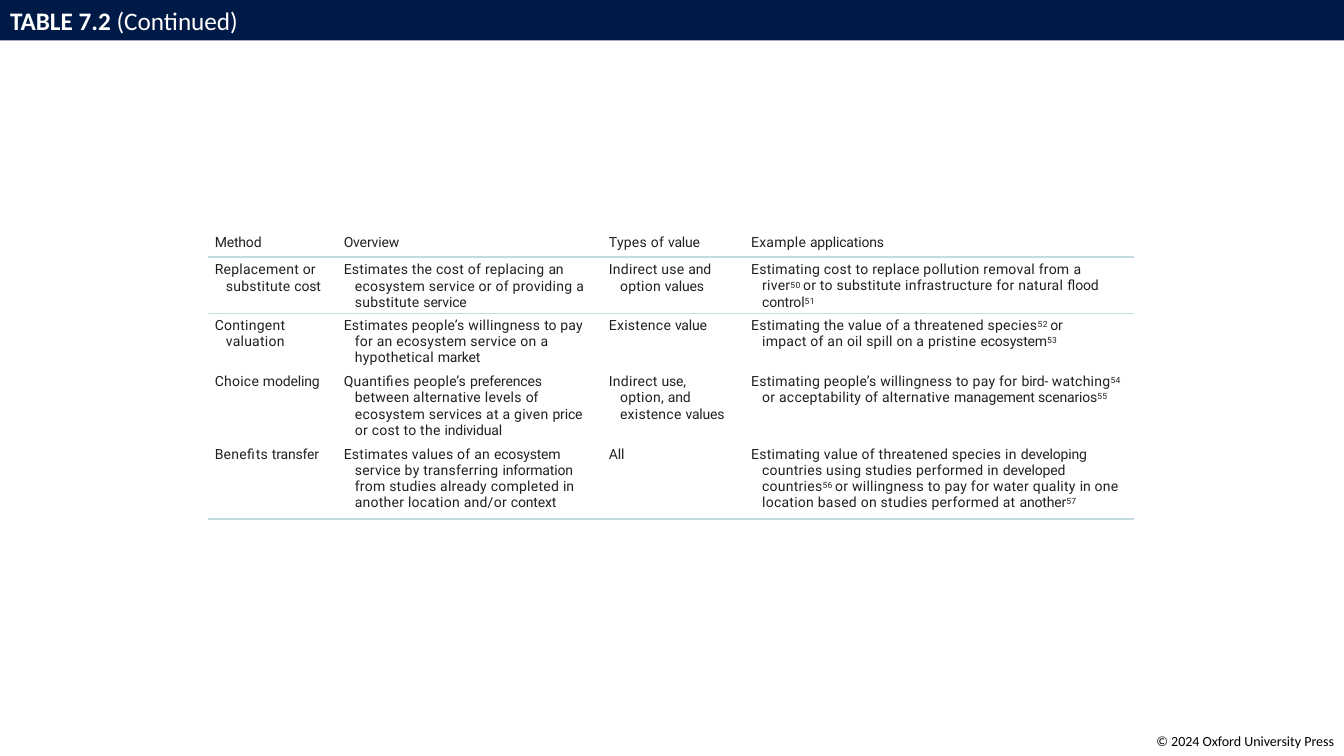
from pptx import Presentation
from pptx.dml.color import RGBColor
from pptx.enum.text import MSO_ANCHOR, MSO_AUTO_SIZE, PP_ALIGN
from pptx.oxml import parse_xml
from pptx.oxml.ns import nsdecls
from pptx.util import Inches, Pt

COL_WIDTHS = [1.27, 2.63, 1.38, 3.89]
COL_INDENTS = [0.06, 0.07, 0.07, 0.1]
ROW_HEIGHTS = [0.22, 0.56, 0.56, 0.72, 0.76]
ROW_INSETS = [0, 0.05, 0.04, 0.04, 0.04]
RULED_ROWS = [0, 1, 4]
RIGHT_INSETS = [
    [0, 0, 0, 0],
    [0, 0.06, 0, 0.13],
    [0, 0.17, 0, 0.3],
    [0, 0.07, 0.11, 0.11],
    [0, 0.08, 0, 0.1],
]
HANGING = 0.11

# "|" separates runs; "~" marks tighter spacing and "^" marks a reference number.
METHODS = [
    ["~Method", "~Overview", "Types of |~value", "Example |~applications"],
    [
        "Replacement |~or| substitute |~cost",
        "Estimates the cost of replacing |~an| ecosystem service or of providing |~a| substitute |~service",
        "Indirect use |~and| option |~values",
        "Estimating cost to replace pollution removal from |~a| river|^50 |or to substitute "
        "infrastructure for natural |~flood control|^51",
    ],
    [
        "Contingent valuation",
        "Estimates people’s willingness |~to| pay for an ecosystem service on |~a| hypothetical |~market",
        "Existence |~value",
        "Estimating the value of a threatened species|^52 |~or| impact of an oil spill on a pristine "
        "|~ecosystem|^53",
    ],
    [
        "Choice |~modeling",
        "Quantifies people’s |~preferences |between alternative levels |~of| ecosystem services "
        "at a given |~price |or cost to the |~individual",
        "Indirect |~use, |option, |~and| existence |~values",
        "Estimating people’s willingness to pay for |~bird- |watching|^54 |or acceptability of "
        "alternative |~management scenarios|^55",
    ],
    [
        "Benefits |~transfer",
        "Estimates values of an |~ecosystem |service by transferring |~information |from studies "
        "already completed |~in| another location and/or |~context",
        "~All",
        "Estimating value of threatened species in |~developing |countries using studies performed "
        "in |~developed |countries|^56 |or willingness to pay for water quality |~in| one location "
        "based on studies performed at |~another|^57",
    ],
]


def rgb(color):
    return RGBColor.from_string(color)


def set_font(p, name, size, color):
    p.font.name = name
    p.font.size = Pt(size)
    p.font.color.rgb = rgb(color)


def add_title(s, left, top, width, height):
    sp = s.shapes.title
    sp.left, sp.top, sp.width, sp.height = map(Inches, (left, top, width, height))
    sp.fill.solid()
    sp.fill.fore_color.rgb = rgb("001A47")
    tf = sp.text_frame
    tf.auto_size = MSO_AUTO_SIZE.NONE
    tf.vertical_anchor = MSO_ANCHOR.MIDDLE
    p = tf.paragraphs[0]
    p.alignment = PP_ALIGN.LEFT
    set_font(p, "Calibri", 18, "FFFFFF")
    for text, bold in (("TABLE 7.2 ", True), ("(Continued)", False)):
        r = p.add_run()
        r.text = text
        r.font.bold = bold


def add_runs(p, text):
    for part in text.split("|"):
        r = p.add_run()
        r.text = part.lstrip("~^")
        rPr = r.font._element
        rPr.set("spc", "-10" if part.startswith("~") else "20")
        if part.startswith("^"):
            r.font.size = Pt(10.5)
            rPr.set("baseline", "20000")


def add_rule(cell):
    cell._tc.get_or_add_tcPr().insert(0, parse_xml(
        f'<a:lnB {nsdecls("a")} w="19050"><a:solidFill><a:srgbClr val="C2DCDF"/>'
        '</a:solidFill><a:prstDash val="solid"/></a:lnB>'))


def fill_cell(cell, text, row, col):
    cell.margin_left = cell.margin_bottom = 0
    cell.margin_right = Inches(RIGHT_INSETS[row][col])
    cell.margin_top = Inches(ROW_INSETS[row])
    cell.vertical_anchor = MSO_ANCHOR.TOP
    cell.fill.background()
    p = cell.text_frame.paragraphs[0]
    pPr = p._p.get_or_add_pPr()
    pPr.set("marL", str(Inches(COL_INDENTS[col] + HANGING)))
    pPr.set("indent", str(-Inches(HANGING)))
    if row:
        p.line_spacing = Pt(11.6)
    set_font(p, "Roboto", 10, "231F20")
    add_runs(p, text)
    if row in RULED_ROWS:
        add_rule(cell)


def add_methods_table(s, left, top):
    width, height = sum(COL_WIDTHS), sum(ROW_HEIGHTS)
    table = s.shapes.add_table(
        len(ROW_HEIGHTS), len(COL_WIDTHS),
        Inches(left), Inches(top), Inches(width), Inches(height)).table
    table.first_row = False
    table.horz_banding = False
    for column, col_width in zip(table.columns, COL_WIDTHS):
        column.width = Inches(col_width)
    for row, row_height in enumerate(ROW_HEIGHTS):
        table.rows[row].height = Inches(row_height)
        for col, text in enumerate(METHODS[row]):
            fill_cell(table.cell(row, col), text, row, col)


def add_copyright(s, left, top, width, height):
    tf = s.shapes.add_textbox(*map(Inches, (left, top, width, height))).text_frame
    tf.word_wrap = False
    p = tf.paragraphs[0]
    p.alignment = PP_ALIGN.RIGHT
    set_font(p, "Calibri", 10, "000000")
    p.add_run().text = "© 2024 Oxford University Press"


def main():
    prs = Presentation()
    prs.slide_width, prs.slide_height = Inches(13.33), Inches(7.5)
    s = prs.slides.add_slide(prs.slide_layouts[5])
    add_title(s, 0, 0, 13.33, 0.4)
    add_methods_table(s, 2.07, 2.33)
    add_copyright(s, 11.33, 7.22, 2, 0.27)
    prs.save("out.pptx")


if __name__ == "__main__":
    main()
